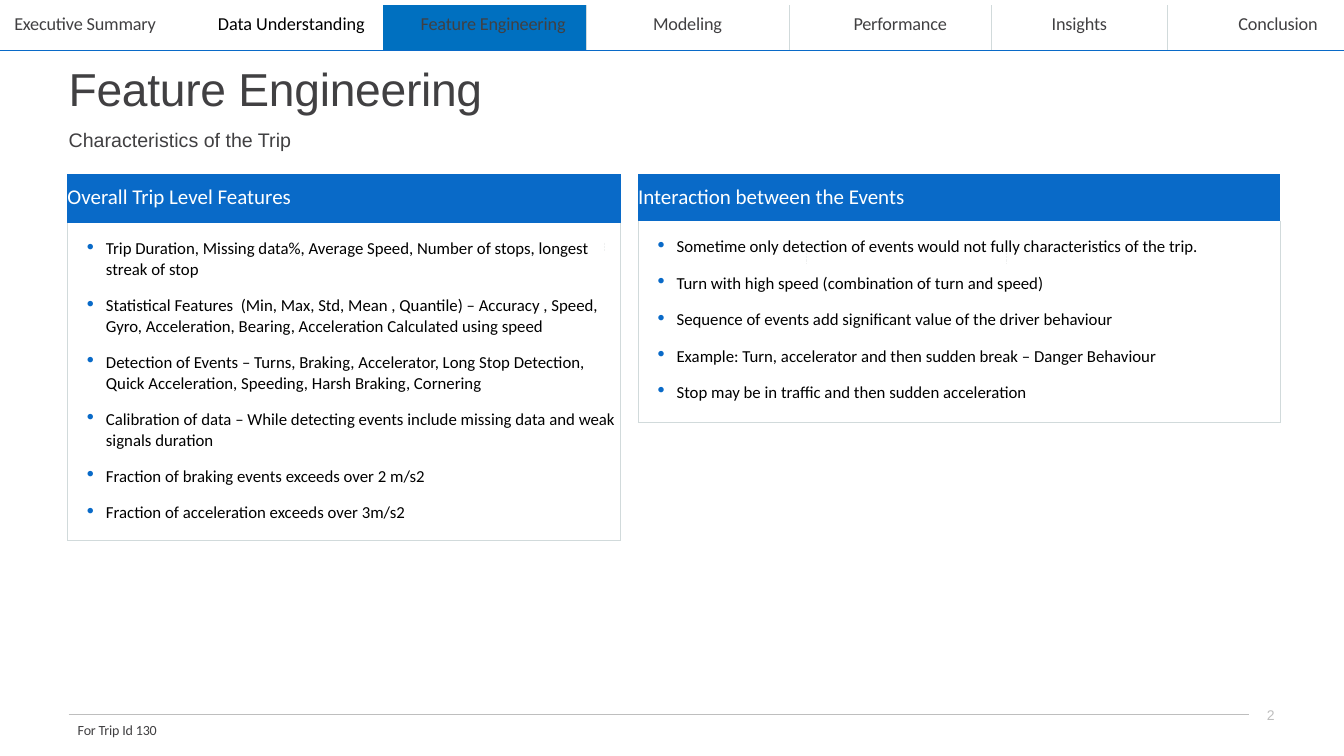
import pptx
import pptx.dml.color
import pptx.enum.shapes
import pptx.enum.text
import pptx.oxml.ns
import pptx.util
from dataclasses import dataclass, field
from typing import Any
from lxml import etree

Cm = pptx.util.Cm
Pt = pptx.util.Pt
qn = pptx.oxml.ns.qn

BLUE, ACTIVE_BLUE, DARK = "096AC8", "0070C0", "414042"
GREY, BORDER, FAINT = "BEBEBE", "D1DADB", "F0F1F1"
WHITE, BLACK = "FFFFFF", "000000"
NO_GRID_STYLE = "{2D5ABB26-0587-4C30-8999-92F81FD0307C}"


@dataclass
class TextStyle:
    size: float
    color: str
    font: str = "Calibri"
    spacing: int = 0  # hundredths of a point
    before: float = 0
    indent: float = 0
    centered: bool = False
    bullet: bool = False


@dataclass
class Label:
    text: str
    box: tuple[float, float, float, float]
    style: TextStyle


@dataclass
class Rule:
    start: tuple[float, float]
    end: tuple[float, float]
    color: str
    width: float = 0.5
    dotted: bool = False


@dataclass
class Tab:
    text: str
    width: float
    indent: float = 0
    centered: bool = False
    color: str = DARK
    spacing: int = -10
    fill: str | None = None
    sides: str = ""


@dataclass
class Panel:
    heading: str
    left: float
    width: float
    heights: tuple[float, float]
    points: list[str] = field(default_factory=list)


RULES = [
    Rule((1.73, 18.01), (31.47, 18.01), GREY),
    Rule((0, 1.27), (33.87, 1.27), BLUE),
    *[Rule((x, 6.12), (x, bottom), FAINT, dotted=True)
      for x, bottom in ((10.19, 6.32), (15.24, 6.32), (20.32, 6.63), (25.35, 6.63))],
    Rule((25.35, 7.98), (25.35, 8.1), BLUE),
]

LABELS = [
    Label("Feature Engineering", (1.7, 1.5, 10.49, 1.47),
          TextStyle(33, DARK, "Arial", -20, 1, 0.03)),
    Label("Characteristics of the Trip", (1.7, 3.2, 13.54, 0.64),
          TextStyle(14, DARK, "Arial", 0, 1.1, 0.03)),
    Label("2", (31.85, 17.78, 0.33, 0.46), TextStyle(10, GREY, "Arial", -10, 0, 0.08)),
    Label("For Trip Id 130", (1.93, 18.14, 21.79, 0.46),
          TextStyle(10, DARK, spacing=-10, before=0.9, indent=0.03)),
]

TABS = [
    Tab("Executive Summary", 4.55, 0.36, fill=WHITE),
    Tab("Data Understanding", 5.11, 0.94, color=BLACK, spacing=0, fill=WHITE),
    Tab("Feature Engineering", 5.11, 0.94, fill=ACTIVE_BLUE, sides="R"),
    Tab("Modeling", 5.11, centered=True, sides="LR"),
    Tab("Performance", 5.11, 1.63, sides="LR"),
    Tab("Insights", 4.42, centered=True, sides="LR"),
    Tab("Conclusion", 4.5, 1.8, sides="L"),
]

PANELS = [
    Panel("Overall Trip Level Features", 1.7, 13.94, (1.22, 8.0), [
        "Trip Duration, Missing data%, Average Speed, Number of stops, longest streak of stop",
        "Statistical Features  (Min, Max, Std, Mean , Quantile) – Accuracy , Speed, Gyro, "
        "Acceleration, Bearing, Acceleration Calculated using speed",
        "Detection of Events – Turns, Braking, Accelerator, Long Stop Detection, "
        "Quick Acceleration, Speeding, Harsh Braking, Cornering",
        "Calibration of data – While detecting events include missing data and weak "
        "signals duration",
        "Fraction of braking events exceeds over 2 m/s2",
        "Fraction of acceleration exceeds over 3m/s2",
    ]),
    Panel("Interaction between the Events", 16.08, 16.18, (1.17, 5.08), [
        "Sometime only detection of events would not fully characteristics of the trip.",
        "Turn with high speed (combination of turn and speed)",
        "Sequence of events add significant value of the driver behaviour",
        "Example: Turn, accelerator and then sudden break – Danger Behaviour",
        "Stop may be in traffic and then sudden acceleration",
    ]),
]


def rgb(color: str) -> pptx.dml.color.RGBColor:
    return pptx.dml.color.RGBColor.from_string(color)


def set_values(target: Any, values: dict[str, Any]) -> None:
    for name, value in values.items():
        setattr(target, name, value)


def add_child(parent: Any, tag: str, **attributes: str) -> Any:
    return etree.SubElement(parent, qn(tag), attributes)


def set_insets(target: Any, top: float) -> None:
    set_values(target, {"margin_left": 0, "margin_top": Cm(top),
                        "margin_right": 0, "margin_bottom": 0})


def write_text(frame: Any, texts: list[str], style: TextStyle) -> None:
    for index, text in enumerate(texts):
        paragraph = frame.paragraphs[0] if index == 0 else frame.add_paragraph()
        align = pptx.enum.text.PP_ALIGN
        set_values(paragraph, {"alignment": align.CENTER if style.centered else align.LEFT,
                               "space_before": Pt(style.before)})
        properties = paragraph._p.get_or_add_pPr()
        properties.set("marL", str(Cm(style.indent)))
        properties.set("indent", str(Cm(-0.48 if style.bullet else 0)))
        if style.bullet:
            add_child(add_child(properties, "a:buClr"), "a:srgbClr", val=BLUE)
            add_child(properties, "a:buSzPct", val="125000")
            add_child(properties, "a:buChar", char="•")
        run = paragraph.add_run()
        run.text = text
        set_values(run.font, {"name": style.font, "size": Pt(style.size)})
        run.font.color.rgb = rgb(style.color)
        run._r.get_or_add_rPr().set("spc", str(style.spacing))


def draw_rule(slide: Any, rule: Rule) -> None:
    connector = slide.shapes.add_connector(
        pptx.enum.shapes.MSO_CONNECTOR.STRAIGHT, *map(Cm, rule.start + rule.end))
    connector.line.color.rgb = rgb(rule.color)
    connector.line.width = Pt(rule.width)
    if rule.dotted:
        add_child(connector.line._get_or_add_ln(), "a:prstDash", val="sysDot")
    add_child(connector._element.spPr, "a:effectLst")


def draw_label(slide: Any, label: Label) -> None:
    frame = slide.shapes.add_textbox(*map(Cm, label.box)).text_frame
    frame.word_wrap = True
    set_insets(frame, 0.03)
    write_text(frame, [label.text], label.style)


def add_plain_table(slide: Any, left: float, top: float,
                    widths: list[float], heights: list[float]) -> Any:
    table = slide.shapes.add_table(len(heights), len(widths), Cm(left), Cm(top),
                                   Cm(sum(widths)), Cm(sum(heights))).table
    set_values(table, {"first_row": False, "horz_banding": False})
    table._tbl.tblPr.find(qn("a:tableStyleId")).text = NO_GRID_STYLE
    for column, width in zip(table.columns, widths):
        column.width = Cm(width)
    for row, height in zip(table.rows, heights):
        row.height = Cm(height)
    return table


def fill_cell(cell: Any, texts: list[str], style: TextStyle, top: float,
              fill: str | None, sides: str = "") -> None:
    set_insets(cell, top)
    for side in sides:
        line = add_child(cell._tc.get_or_add_tcPr(), f"a:ln{side}", w=str(Pt(0.5)))
        add_child(add_child(line, "a:solidFill"), "a:srgbClr", val=BORDER)
    if fill:
        cell.fill.solid()
        cell.fill.fore_color.rgb = rgb(fill)
    else:
        cell.fill.background()
    write_text(cell.text_frame, texts, style)


def draw_navigation(slide: Any) -> None:
    table = add_plain_table(slide, 0, 0.13, [tab.width for tab in TABS], [1.14])
    for index, tab in enumerate(TABS):
        style = TextStyle(13, tab.color, spacing=tab.spacing, before=5.9,
                          indent=tab.indent, centered=tab.centered)
        fill_cell(table.cell(0, index), [tab.text], style, 0.2, tab.fill, tab.sides)


def draw_panel(slide: Any, panel: Panel) -> None:
    table = add_plain_table(slide, panel.left, 4.39, [panel.width], list(panel.heights))
    fill_cell(table.cell(0, 0), [panel.heading], TextStyle(15, WHITE, before=7.2), 0.25, BLUE)
    fill_cell(table.cell(1, 0), panel.points,
              TextStyle(12, BLACK, before=11.4, indent=0.97, bullet=True), 0.41, None, "LRB")


def main() -> None:
    presentation = pptx.Presentation()
    set_values(presentation, {"slide_width": Cm(33.87), "slide_height": Cm(19.05)})
    slide = presentation.slides.add_slide(presentation.slide_layouts[6])
    for rule in RULES:
        draw_rule(slide, rule)
    for label in LABELS:
        draw_label(slide, label)
    draw_navigation(slide)
    for panel in PANELS:
        draw_panel(slide, panel)
    presentation.save("out.pptx")


if __name__ == "__main__":
    main()
